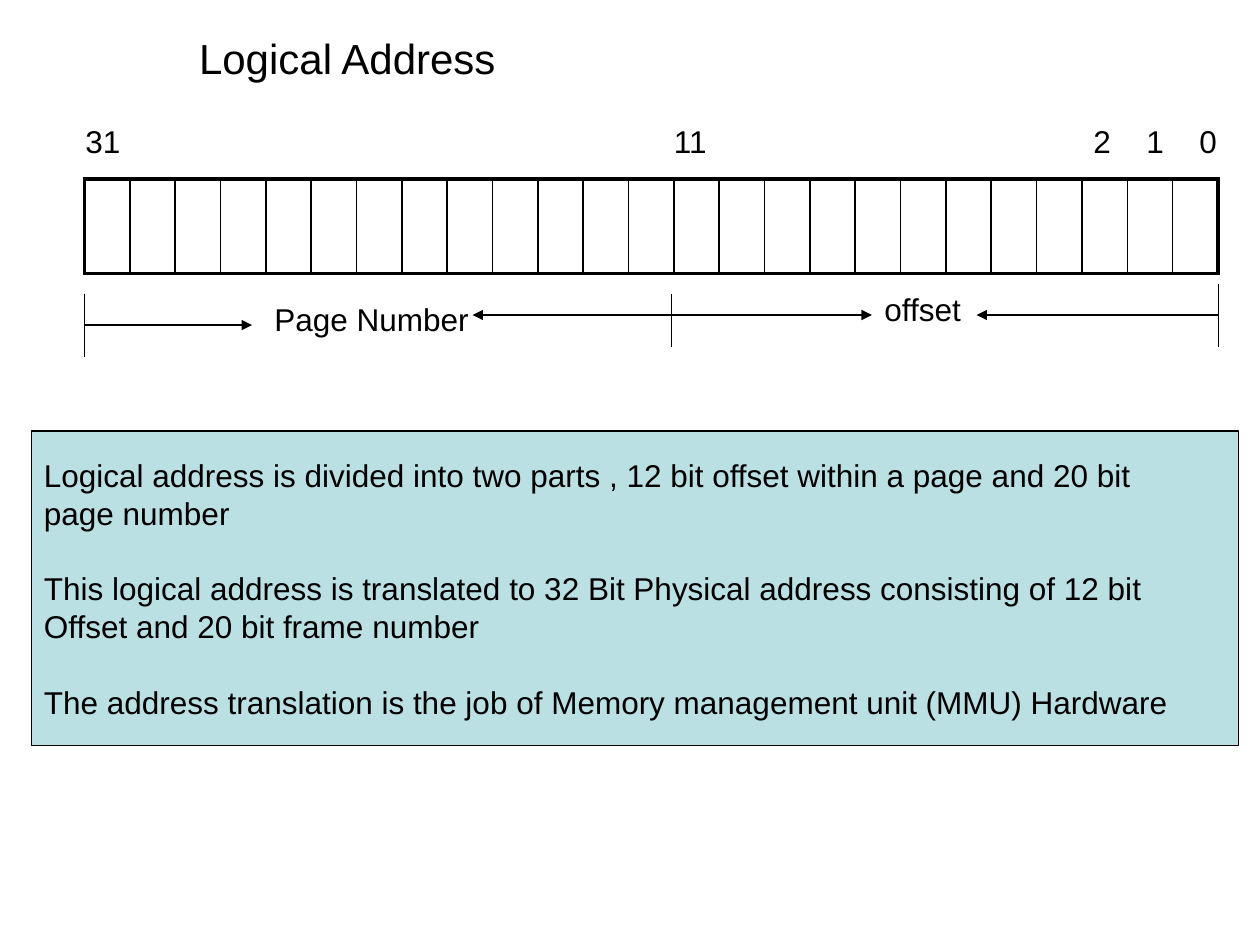
from lxml.etree import SubElement
from pptx import Presentation
from pptx.dml.color import RGBColor
from pptx.enum.shapes import MSO_CONNECTOR, MSO_SHAPE
from pptx.enum.text import MSO_ANCHOR, MSO_AUTO_SIZE, PP_ALIGN
from pptx.oxml.ns import qn
from pptx.util import Inches, Pt

BLACK, PALE_BLUE = "000000", "BBE0E3"
TITLE = "Logical Address"
LABELS = [
    ("31", 0.58, 0.92, 0.48),
    ("11", 5.25, 0.92, 0.48),
    ("2", 8.58, 0.92, 0.34),
    ("1", 9, 0.92, 0.34),
    ("0", 9.42, 0.92, 0.34),
    ("Page Number", 2.08, 2.33, 1.81),
    ("offset", 6.92, 2.25, 0.81),
]
NOTES = [
    "Logical address is divided into two parts , 12 bit offset within a page and 20 bit\vpage number",
    "This logical address is translated to 32 Bit Physical address consisting of 12 bit\v"
    "Offset and 20 bit frame number",
    "The address translation is the job of Memory management unit (MMU) Hardware",
]
LEFT, SPLIT, RIGHT = 0.67, 5.33, 9.67
BIT_COUNT = 25
BOUNDARIES = [(LEFT, 2.33, 2.83), (SPLIT, 2.33, 2.75), (RIGHT, 2.25, 2.75)]
ARROWS = [(LEFT, 2, 2.58), (SPLIT, 3.75, 2.5), (SPLIT, 6.92, 2.5), (RIGHT, 7.75, 2.5)]


def color(value):
    return RGBColor.from_string(value)


def place(shape, left, top, width, height):
    shape.left, shape.top = Inches(left), Inches(top)
    shape.width, shape.height = Inches(width), Inches(height)


def write(shape, *texts, size=18, wrap=True, anchor=MSO_ANCHOR.TOP, gap=0):
    frame = shape.text_frame
    frame.word_wrap = wrap
    frame.auto_size = MSO_AUTO_SIZE.NONE
    frame.vertical_anchor = anchor
    for index, text in enumerate(texts):
        paragraph = frame.add_paragraph() if index else frame.paragraphs[0]
        paragraph.text = text
        paragraph.alignment = PP_ALIGN.LEFT
        paragraph.space_before = Pt(gap if index else 0)
        for run in paragraph.runs:
            run.font.name = "Arial"
            run.font.size = Pt(size)
            run.font.color.rgb = color(BLACK)


def add_line(slide, x1, y1, x2, y2, arrow=False):
    line = slide.shapes.add_connector(
        MSO_CONNECTOR.STRAIGHT, Inches(x1), Inches(y1), Inches(x2), Inches(y2))
    line.line.color.rgb = color(BLACK)
    line.line.width = Pt(0.75)
    properties = line._element.spPr
    if arrow:
        SubElement(properties.find(qn("a:ln")), qn("a:tailEnd"), type="triangle")
    SubElement(properties, qn("a:effectLst"))


def set_borders(cell, **widths):
    properties = cell._tc.get_or_add_tcPr()
    for side, width in widths.items():
        border = SubElement(properties, qn(f"a:ln{side}"), w=str(Pt(width)))
        fill = SubElement(border, qn("a:solidFill"))
        SubElement(fill, qn("a:srgbClr"), val=BLACK)


def add_bits(slide):
    table = slide.shapes.add_table(
        1, BIT_COUNT, Inches(LEFT), Inches(1.42), Inches(RIGHT - LEFT), Inches(0.75)).table
    table.first_row = table.horz_banding = False
    for index in range(BIT_COUNT):
        table.columns[index].width = Inches((RIGHT - LEFT) / BIT_COUNT)
        cell = table.cell(0, index)
        set_borders(cell, L=2.25 if index == 0 else 1,
                    R=2.25 if index == BIT_COUNT - 1 else 1, T=2.25, B=2.25)
        cell.fill.background()


def main():
    presentation = Presentation()
    presentation.slide_width, presentation.slide_height = Inches(10), Inches(7.5)
    slide = presentation.slides.add_slide(presentation.slide_layouts[5])

    title = slide.shapes.title
    place(title, 1.48, 0.21, 4.93, 0.5)
    write(title, TITLE, size=24)

    add_bits(slide)
    for text, left, top, width in LABELS:
        label = slide.shapes.add_textbox(
            Inches(left), Inches(top), Inches(width), Inches(0.4))
        write(label, text, wrap=False)
    for x, top, bottom in BOUNDARIES:
        add_line(slide, x, top, x, bottom)
    for start, end, y in ARROWS:
        add_line(slide, start, y, end, y, arrow=True)

    panel = slide.shapes.add_shape(
        MSO_SHAPE.RECTANGLE, Inches(0.25), Inches(3.42), Inches(9.58), Inches(2.5))
    panel.shadow.inherit = False
    panel.fill.solid()
    panel.fill.fore_color.rgb = color(PALE_BLUE)
    panel.line.color.rgb = color(BLACK)
    panel.line.width = Pt(0.75)
    write(panel, *NOTES, anchor=MSO_ANCHOR.MIDDLE, gap=21.6)

    presentation.save("out.pptx")


if __name__ == "__main__":
    main()
